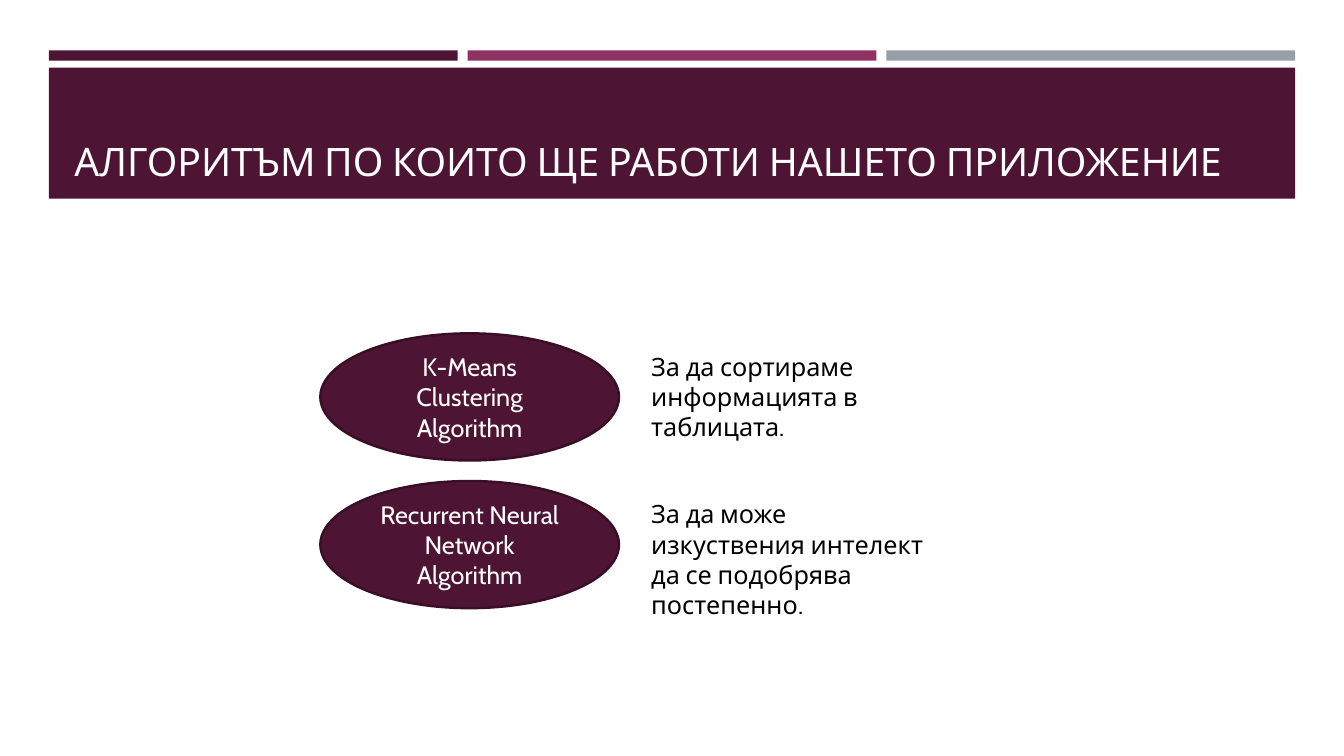
import pptx
import pptx.util
import pptx.dml.color
import pptx.enum.shapes
import pptx.enum.text

Pt = pptx.util.Pt
SHAPE = pptx.enum.shapes.MSO_SHAPE
ANCHOR = pptx.enum.text.MSO_ANCHOR
ALIGN = pptx.enum.text.PP_ALIGN

COLORS = {
    "plum": "4D1434",
    "edge": "390F26",
    "magenta": "903163",
    "gray": "969FA7",
    "white": "FFFFFF",
    "black": "000000",
}
FONT = "Cabin"
TITLE = "АЛГОРИТЪМ ПО КОИТО ЩЕ РАБОТИ НАШЕТО ПРИЛОЖЕНИЕ"
ALGORITHMS = [
    ("K-Means Clustering Algorithm",
     "За да сортираме информацията в таблицата."),
    ("Recurrent Neural Network Algorithm",
     "За да може изкуствения интелект да се подобрява постепенно."),
]


def rgb(name):
    return pptx.dml.color.RGBColor.from_string(COLORS[name])


def add_shape(s, kind, x, y, w, h, fill, line=None):
    sp = s.shapes.add_shape(kind, Pt(x), Pt(y), Pt(w), Pt(h))
    sp.shadow.inherit = False
    sp.fill.solid()
    sp.fill.fore_color.rgb = rgb(fill)
    if line:
        sp.line.color.rgb = rgb(line)
        sp.line.width = Pt(1.75)
    else:
        sp.line.fill.background()
    return sp


def write(sp, text, size, color, anchor=ANCHOR.TOP, align=ALIGN.LEFT):
    tf = sp.text_frame
    tf.word_wrap = True
    tf.vertical_anchor = anchor
    p = tf.paragraphs[0]
    p.alignment = align
    r = p.add_run()
    r.text = text
    r.font.name = FONT
    r.font.size = Pt(size)
    r.font.color.rgb = rgb(color)


def add_header(s, x, y, w, h):
    # Three accent bars across the top
    gap = 7.2
    bar_w = (w - 2 * gap) / 3
    for i, fill in enumerate(("plum", "magenta", "gray")):
        add_shape(s, SHAPE.RECTANGLE, x + i * (bar_w + gap), y, bar_w, 7.4, fill)
    # Title band
    band_y = y + 12.4
    add_shape(s, SHAPE.RECTANGLE, x, band_y, w, h - 12.4, "plum")
    sp = s.shapes.add_textbox(Pt(x + 11.2), Pt(band_y + 7), Pt(w - 22.4), Pt(80))
    write(sp, TITLE, 28, "white", ANCHOR.BOTTOM)


def add_algorithm(s, x, y, w, h, name, purpose):
    # Ellipse with the name, its purpose to the right
    sp = add_shape(s, SHAPE.OVAL, x, y, w, h, "plum", "edge")
    write(sp, name, 18, "white", ANCHOR.MIDDLE, ALIGN.CENTER)
    sp = s.shapes.add_textbox(Pt(x + w + 16), Pt(y + 9), Pt(216), Pt(72.7))
    write(sp, purpose, 18, "black")
    sp.text_frame.auto_size = pptx.enum.text.MSO_AUTO_SIZE.SHAPE_TO_FIT_TEXT


def main():
    prs = pptx.Presentation()
    prs.slide_width, prs.slide_height = Pt(960), Pt(540)
    s = prs.slides.add_slide(prs.slide_layouts[6])
    add_header(s, 34.9, 36, 890.2, 106)
    for i, (name, purpose) in enumerate(ALGORITHMS):
        add_algorithm(s, 228.8, 238.1 + i * 105.5, 213.3, 90.8, name, purpose)
    prs.save("out.pptx")


if __name__ == "__main__":
    main()
